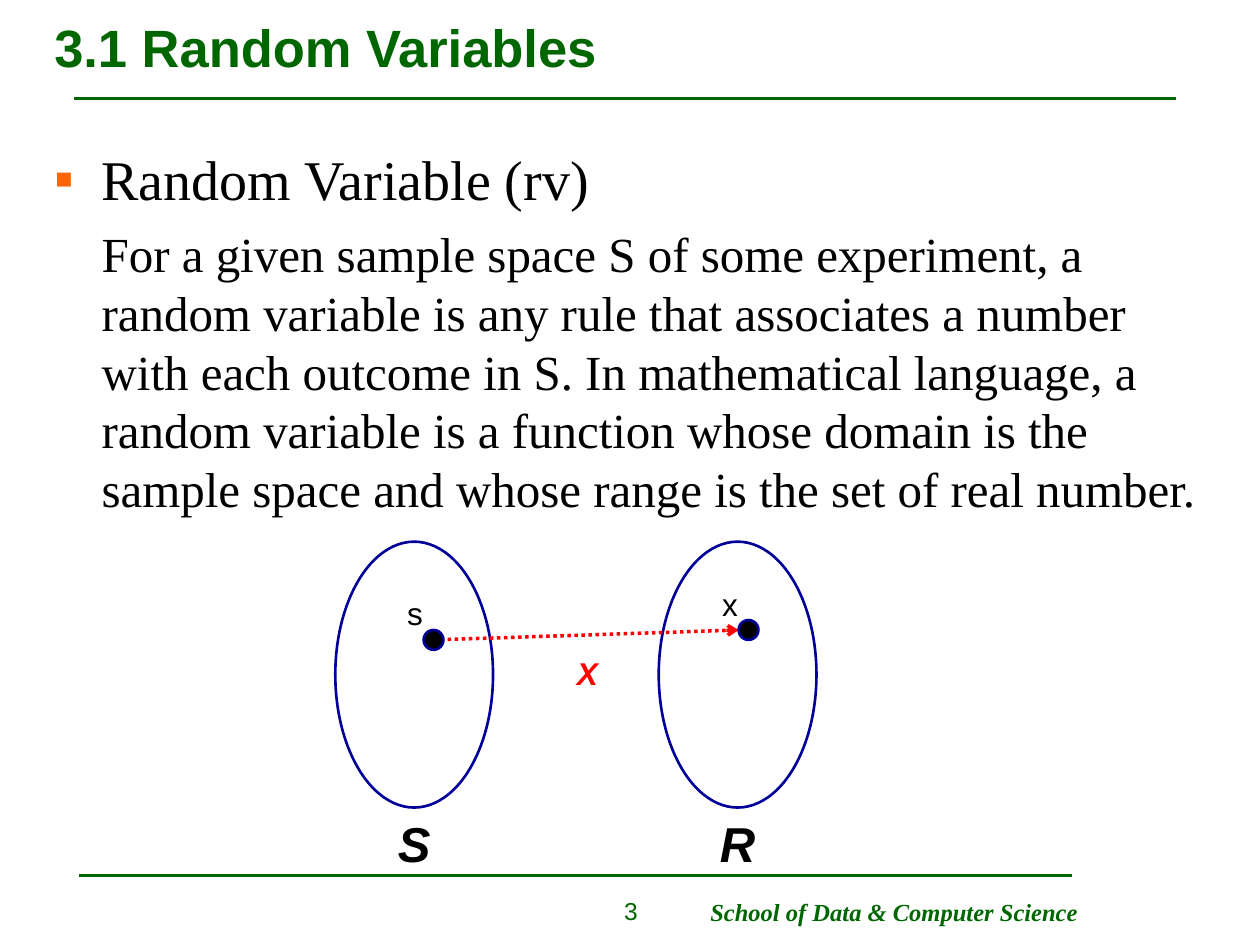
from lxml.etree import SubElement
from pptx import Presentation
from pptx.dml.color import RGBColor
from pptx.enum.dml import MSO_LINE
from pptx.enum.shapes import MSO_CONNECTOR, MSO_SHAPE
from pptx.enum.text import MSO_ANCHOR, PP_ALIGN
from pptx.oxml.ns import qn
from pptx.util import Cm, Pt

GREEN, NAVY, RED, BLACK, ORANGE = "006600", "000099", "FF0000", "000000", "FF6600"
SERIF = "Times New Roman"


def tint(code):
    """Turn a hex string into a colour."""
    return RGBColor.from_string(code)


def put(para, text, size=18, color=BLACK, face="Arial", bold=False, slant=False,
        align=PP_ALIGN.LEFT, space=0, line=None):
    """Write one formatted paragraph."""
    para.text = text
    para.alignment = align
    para.space_before = Pt(space)
    if line:
        para.line_spacing = Pt(line)
    font = para.runs[0].font
    font.name, font.size, font.bold, font.italic = face, Pt(size), bold, slant
    font.color.rgb = tint(color)


class Deck:
    """Hold the line style and the current slide."""

    def __init__(self, show):
        """Add a title-only slide."""
        self.slide = show.slides.add_slide(show.slide_layouts[5])
        self.shapes = self.slide.shapes
        self.width = 1.5

    def title(self, text, x, y, w, h):
        """Place and fill the title."""
        box = self.shapes.title
        box.left, box.top, box.width, box.height = Cm(x), Cm(y), Cm(w), Cm(h)
        box.text_frame.vertical_anchor = MSO_ANCHOR.MIDDLE
        put(box.text_frame.paragraphs[0], text, size=30, color=GREEN, bold=True)

    def frame(self, x, y, w, h, wrap=True):
        """Add a text box and return its frame."""
        frame = self.shapes.add_textbox(Cm(x), Cm(y), Cm(w), Cm(h)).text_frame
        frame.word_wrap = wrap
        return frame

    def label(self, text, x, y, w, h, **form):
        """Add a one-line text."""
        put(self.frame(x, y, w, h, False).paragraphs[0], text, **form)

    def body(self, head, text, x, y, w, h):
        """Add a bullet head with its indented text."""
        frame = self.frame(x, y, w, h)
        first, second = frame.paragraphs[0], frame.add_paragraph()
        for para, indent in ((first, Cm(-0.96)), (second, 0)):
            props = para._p.get_or_add_pPr()
            props.set("marL", str(Cm(0.96)))
            props.set("indent", str(indent))
        props = first._p.get_or_add_pPr()
        SubElement(SubElement(props, qn("a:buClr")), qn("a:srgbClr"), val=ORANGE)
        SubElement(props, qn("a:buFont"), typeface=SERIF)
        SubElement(props, qn("a:buChar"), char="▪")
        put(first, head, size=32, face=SERIF, line=39)
        put(second, text, size=28, face=SERIF, space=7, line=33.5)

    def oval(self, x, y, w, h, fill=None):
        """Add an outlined ellipse."""
        oval = self.shapes.add_shape(MSO_SHAPE.OVAL, Cm(x), Cm(y), Cm(w), Cm(h))
        oval.shadow.inherit = False
        if fill:
            oval.fill.solid()
            oval.fill.fore_color.rgb = tint(fill)
        else:
            oval.fill.background()
        oval.line.color.rgb = tint(NAVY)
        oval.line.width = Pt(self.width)

    def rule(self, x, y, end, drop, color=GREEN):
        """Add a straight line and return it."""
        rule = self.shapes.add_connector(
            MSO_CONNECTOR.STRAIGHT, Cm(x), Cm(y), Cm(end), Cm(drop))
        SubElement(rule._element.spPr, qn("a:effectLst"))
        rule.line.color.rgb = tint(color)
        rule.line.width = Pt(self.width)
        return rule

    def arrow(self, x, y, end, drop):
        """Add a dotted red arrow."""
        line = self.rule(x, y, end, drop, RED).line
        line.width = Pt(2)
        line.dash_style = MSO_LINE.ROUND_DOT
        SubElement(line._get_or_add_ln(), qn("a:tailEnd"), type="arrow")

    def set(self, name, x, y, w, h):
        """Add a set with its name below."""
        self.oval(x, y, w, h)
        self.label(name, x, y + h, w, 1.44, size=28, bold=True, slant=True,
                   align=PP_ALIGN.CENTER)

    def point(self, name, x, y, r=0.2):
        """Add a dot with its name at the upper left."""
        self.label(name, x - 0.78, y - 1.04, 0.8, 1.02, align=PP_ALIGN.CENTER)
        self.oval(x - r, y - r, 2 * r, 2 * r, BLACK)


def main():
    """Build the slide."""
    show = Presentation()
    show.slide_width, show.slide_height = Cm(25.4), Cm(19.05)
    deck = Deck(show)
    deck.title("3.1 Random Variables", 0.84, 0.08, 23.72, 1.73)
    deck.rule(1.5, 1.98, 23.7, 1.98)
    deck.rule(1.6, 17.65, 21.62, 17.65)
    deck.body(
        "Random Variable (rv)",
        "For a given sample space S of some experiment, a random variable is any "
        "rule that associates a number with each outcome in S. In mathematical "
        "language, a random variable is a function whose domain is the sample "
        "space and whose range is the set of real number.",
        0.84, 2.77, 23.72, 14.68)
    for name, x in (("S", 6.76), ("R", 13.28)):
        deck.set(name, x, 10.92, 3.18, 5.36)
    deck.arrow(8.74, 12.9, 14.89, 12.7)
    deck.point("s", 8.74, 12.9)
    deck.point("x", 15.09, 12.7)
    deck.label("X", 11.38, 13.06, 0.91, 1.02, color=RED, bold=True, slant=True)
    deck.label("3", 10.52, 17.93, 2.59, 0.91, size=14, color=GREEN,
               align=PP_ALIGN.RIGHT)
    deck.label("School of Data & Computer Science", 14.07, 17.96, 7.92, 0.86,
               size=14, color=GREEN, face=SERIF, bold=True, slant=True)
    show.save("out.pptx")


if __name__ == "__main__":
    main()
